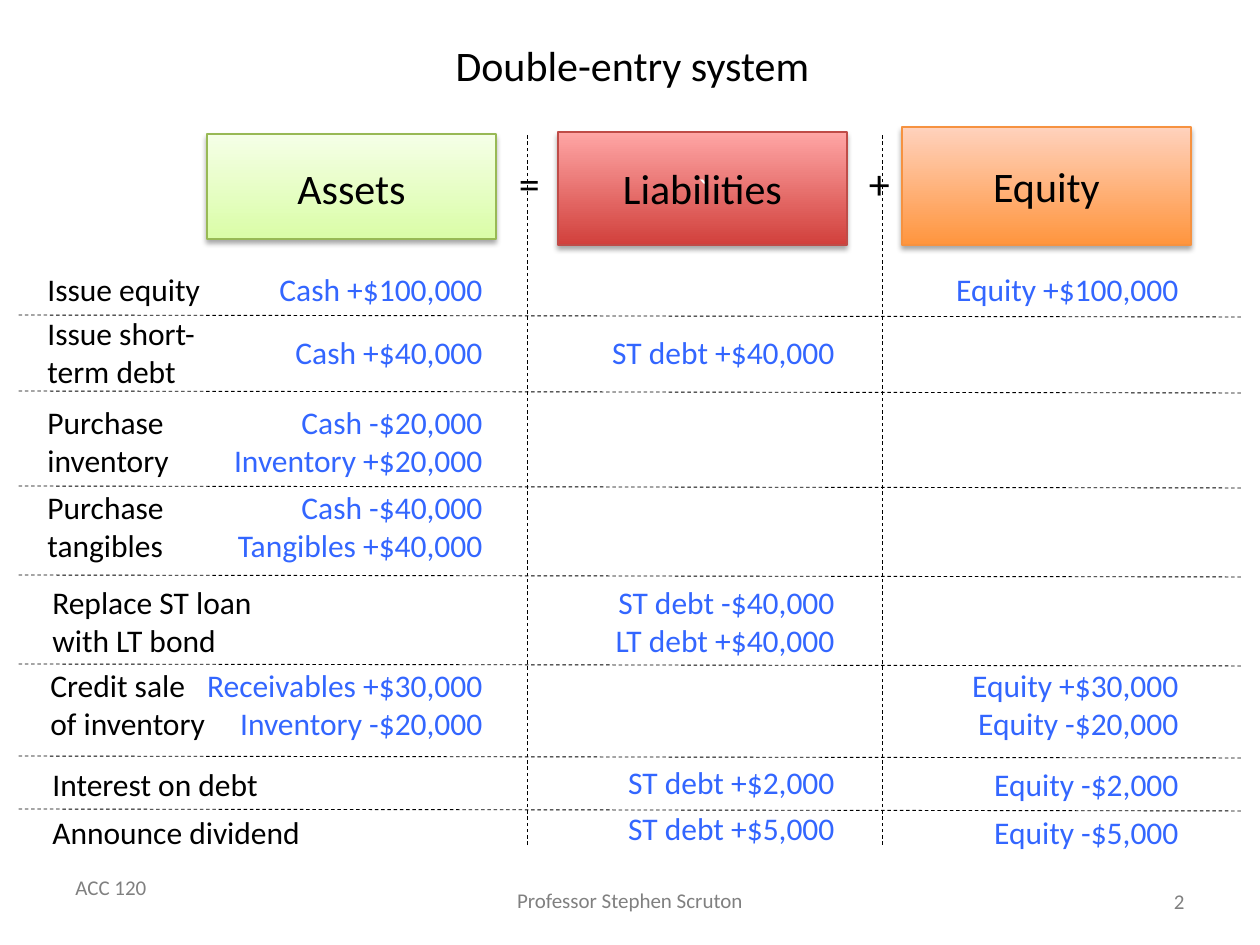
"""Build the double-entry system slide."""
from dataclasses import dataclass

from lxml import etree
from pptx import Presentation
from pptx.dml.color import RGBColor
from pptx.enum.dml import MSO_LINE
from pptx.enum.shapes import MSO_CONNECTOR, MSO_SHAPE
from pptx.enum.text import MSO_ANCHOR, PP_ALIGN
from pptx.oxml import parse_xml
from pptx.oxml.ns import nsdecls, qn
from pptx.util import Emu, Pt

LEFT, MID, RIGHT = PP_ALIGN.LEFT, PP_ALIGN.CENTER, PP_ALIGN.RIGHT
TOP, CENTRE = MSO_ANCHOR.TOP, MSO_ANCHOR.MIDDLE
RECT, LINE, DASH = MSO_SHAPE.RECTANGLE, MSO_CONNECTOR.STRAIGHT, MSO_LINE.DASH
SCALE = 914400 / 126


@dataclass(frozen=True)
class Theme:
    """Hold the colours, font and type sizes."""
    font: str = "Calibri"
    black: str = "000000"
    blue: str = "3366FF"
    grey: str = "808080"
    white: str = "FFFFFF"
    head: int = 24
    body: int = 18
    foot: int = 12


@dataclass(frozen=True)
class Box:
    """Describe one heading box."""
    name: str
    left: int
    top: int
    high: int
    label: int
    low: str
    light: str
    edge: str
    mark: str = ""


@dataclass(frozen=True)
class Row:
    """Describe one event and its entries."""
    event: str
    top: int
    left: int
    wide: int
    assets: str = ""
    debts: str = ""
    equity: str = ""
    lift: int = 0


THEME = Theme()
BOXES = [
    Box("Assets", 207, 134, 105, 144, "DAFDA7", "F5FFE7", "98B955"),
    Box("Liabilities", 558, 132, 113, 144, "D1403C", "FFA6A5", "BF4C48", "`"),
    Box("Equity", 902, 127, 118, 142, "FF953E", "FFD2BD", "F69240"),
]
ROWS = [
    Row("Issue equity", 245, 35, 209, "Cash +$100,000", equity="Equity +$100,000"),
    Row("Issue short-term debt", 308, 35, 209, "Cash +$40,000", "ST debt +$40,000"),
    Row("Purchase inventory", 397, 35, 209, "Cash -$20,000\nInventory +$20,000"),
    Row("Purchase tangibles", 482, 35, 209, "Cash -$40,000\nTangibles +$40,000"),
    Row("Replace ST loan\nwith LT bond", 577, 40, 427,
        debts="ST debt -$40,000\nLT debt +$40,000"),
    Row("Credit sale\nof inventory", 660, 38, 209,
        "Receivables +$30,000\nInventory -$20,000",
        equity="Equity +$30,000\nEquity -$20,000"),
    Row("Interest on debt", 740, 40, 258, debts="ST debt +$2,000",
        equity="Equity -$2,000", lift=2),
    Row("Announce dividend", 788, 40, 427, debts="ST debt +$5,000",
        equity="Equity -$5,000", lift=4),
]
RULES = [315, 391, 486, 575, 664, 756, 809]
BARS = [527, 882]


def px(size: float) -> Emu:
    """Turn pixels into EMU."""
    return Emu(round(size * SCALE))


def write(frame, text: str, *, size: int = THEME.body, ink: str = THEME.black,
          align=LEFT, anchor=CENTRE, wrap: bool = True) -> None:
    """Fill a text frame, one paragraph for each line."""
    frame.word_wrap = wrap
    frame.vertical_anchor = anchor
    for i, line in enumerate(text.split("\n")):
        para = frame.add_paragraph() if i else frame.paragraphs[0]
        para.alignment = align
        run = para.add_run()
        run.text = line
        run.font.name = THEME.font
        run.font.size = Pt(size)
        run.font.color.rgb = RGBColor.from_string(ink)


def label(slide, text: str, left: int, top: int, wide: int, high: int = 88,
          **form) -> None:
    """Add a text box."""
    area = slide.shapes.add_textbox(px(left), px(top), px(wide), px(high))
    write(area.text_frame, text, **form)


def panel(slide, box: Box) -> None:
    """Add a shaded heading box with its name."""
    shape = slide.shapes.add_shape(RECT, px(box.left), px(box.top), px(289), px(box.high))
    shape.fill.gradient()
    shape.fill.gradient_angle = 90
    for stop, place, shade in zip(shape.fill.gradient_stops, (0, 1), (box.low, box.light)):
        stop.position = place
        stop.color.rgb = RGBColor.from_string(shade)
    shape.line.color.rgb = RGBColor.from_string(box.edge)
    shape.line.width = Pt(0.75)
    shape.shadow.inherit = False
    shape.element.spPr.remove(shape.element.spPr.find(qn("a:effectLst")))
    shape.element.spPr.append(parse_xml(
        f'<a:effectLst {nsdecls("a")}><a:outerShdw blurRad="39370" dist="22860" '
        'dir="5400000" rotWithShape="0"><a:srgbClr val="000000">'
        '<a:alpha val="35000"/></a:srgbClr></a:outerShdw></a:effectLst>'))
    if box.mark:
        write(shape.text_frame, box.mark, ink=THEME.white, align=MID)
    label(slide, box.name, box.left, box.label, 289, size=THEME.head, align=MID)


def rule(slide, x: int, y: int, end: int, base: int) -> None:
    """Add a thin dashed line."""
    line = slide.shapes.add_connector(LINE, px(x), px(y), px(end), px(base))
    line.line.color.rgb = RGBColor.from_string(THEME.black)
    line.line.width = Pt(0.5)
    line.line.dash_style = DASH
    etree.SubElement(line.element.spPr, qn("a:effectLst"))


def entry(slide, row: Row) -> None:
    """Add an event and its amounts."""
    label(slide, row.event, row.left, row.top, row.wide)
    cells = ((row.assets, 160, 0), (row.debts, 512, row.lift), (row.equity, 856, 0))
    for text, left, lift in cells:
        if text:
            label(slide, text, left, row.top - lift, 335, ink=THEME.blue, align=RIGHT)


def main() -> None:
    """Draw the slide and save it."""
    deck = Presentation()
    deck.slide_width, deck.slide_height = px(1260), px(945)
    slide = deck.slides.add_slide(deck.slide_layouts[6])
    foot = {"size": THEME.foot, "ink": THEME.grey}
    label(slide, "ACC 120", 63, 868, 97, 38, anchor=TOP, wrap=False, **foot)
    label(slide, "Professor Stephen Scruton", 503, 881, 254, 38, align=MID,
          anchor=TOP, wrap=False, **foot)
    label(slide, "2", 903, 876, 294, 50, align=RIGHT, **foot)
    label(slide, "Double-entry system", 97, 21, 1071, size=THEME.head, align=MID)
    for box in BOXES:
        panel(slide, box)
    label(slide, "=", 467, 156, 125, 53, size=THEME.head, align=MID)
    label(slide, "+", 822, 154, 115, 58, size=THEME.head, align=MID)
    for y in RULES:
        rule(slide, 1241, y + 2, 16, y)
    for x in BARS:
        rule(slide, x, 845, x, 134)
    for row in ROWS:
        entry(slide, row)
    deck.save("out.pptx")


main()
